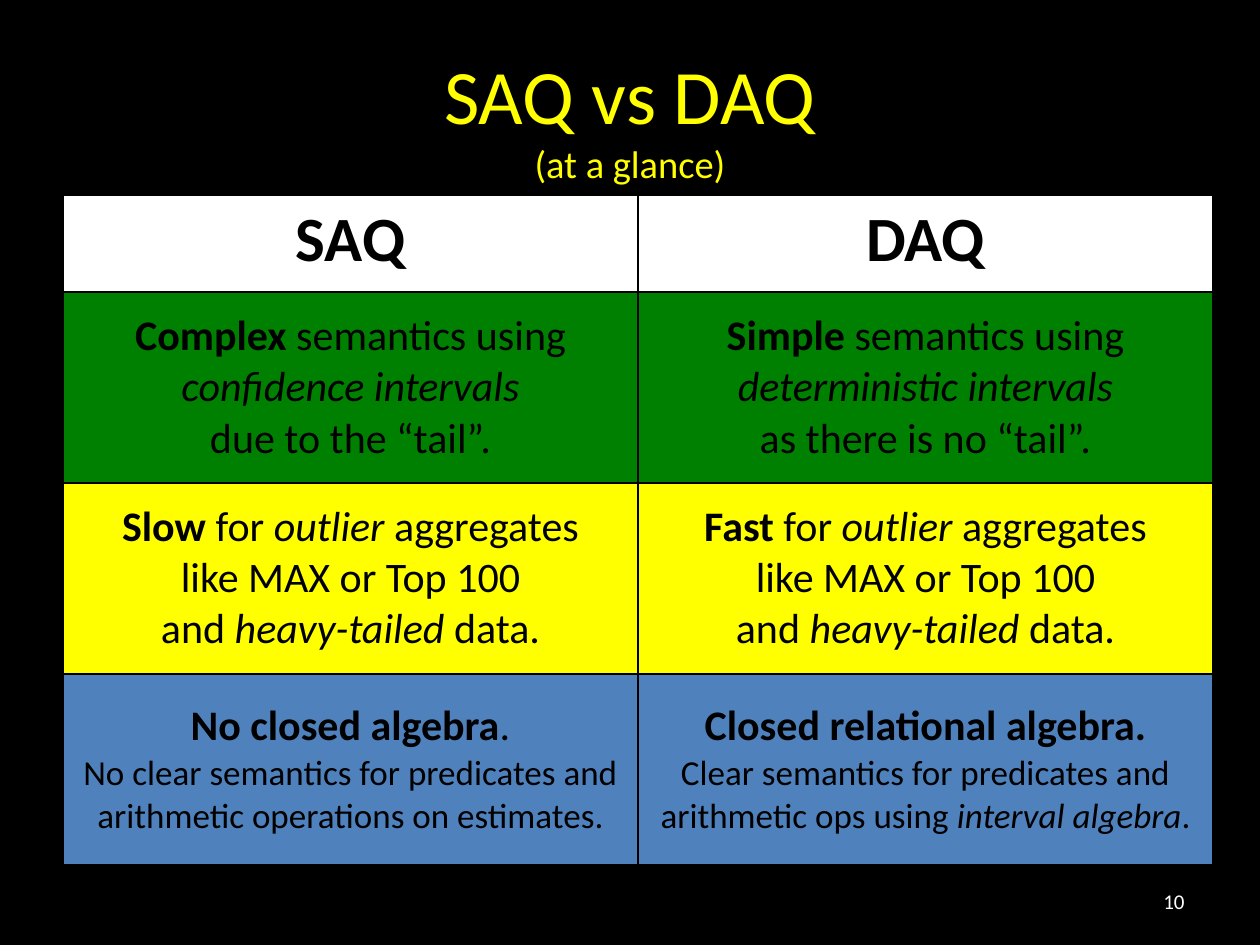
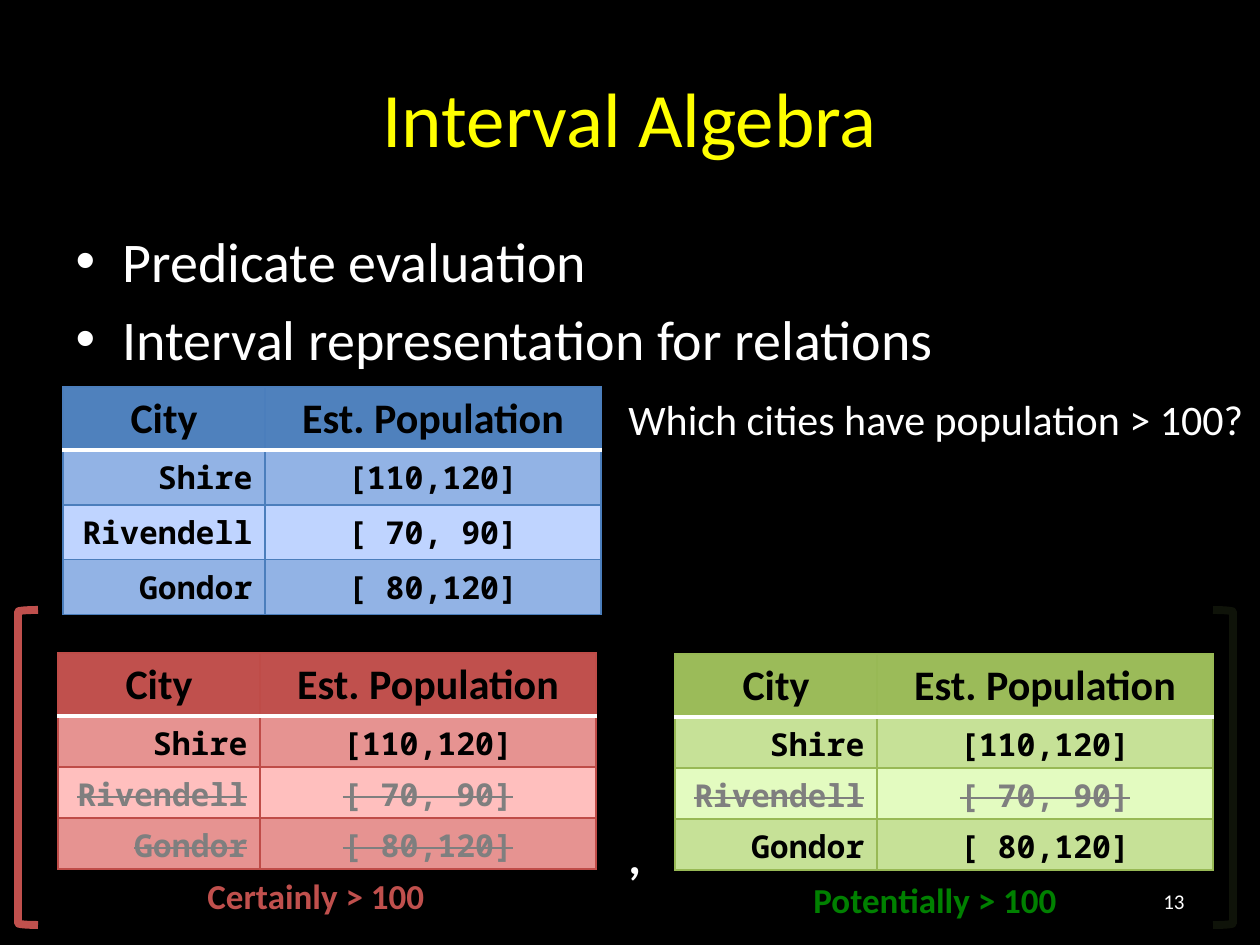
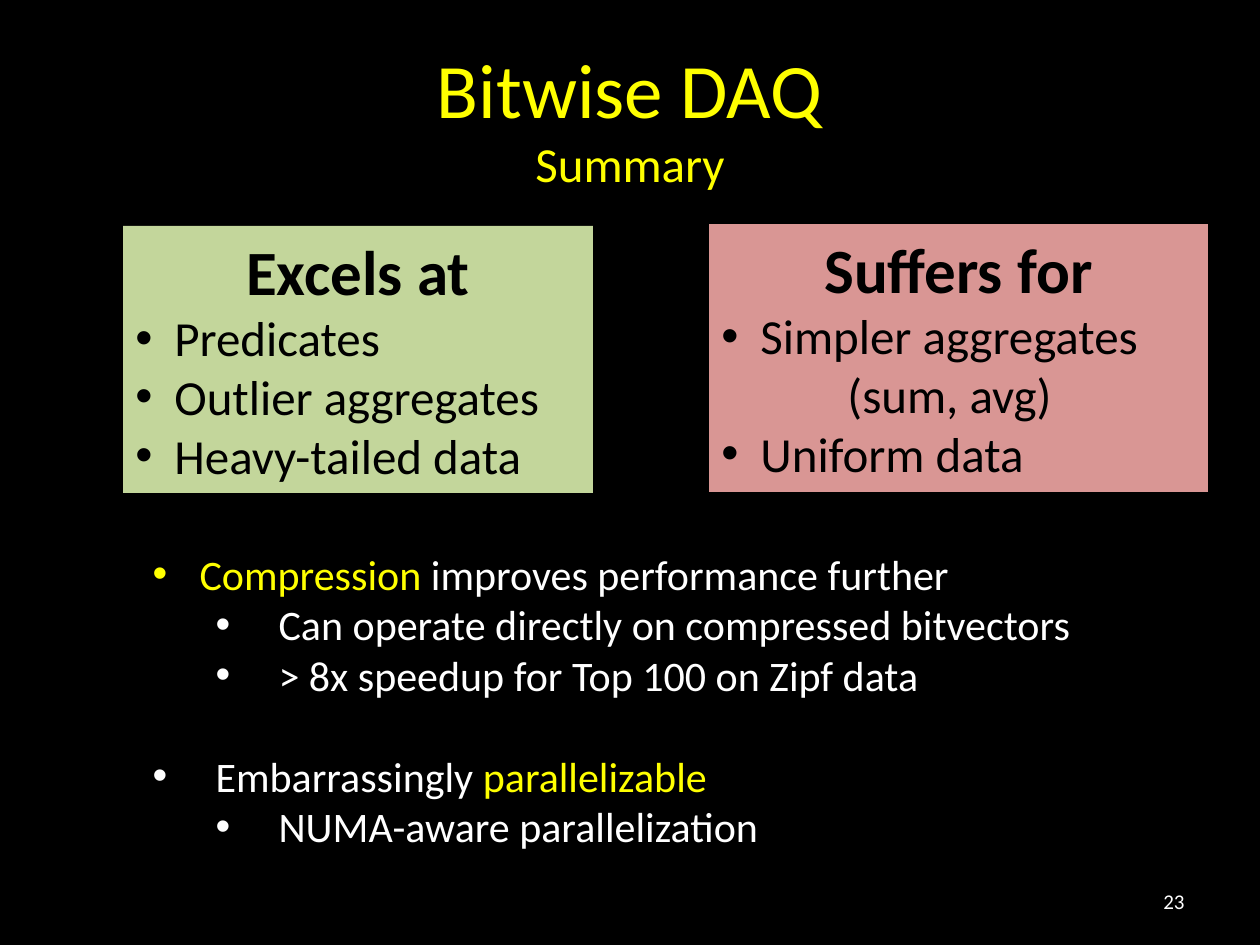
import dataclasses

import lxml.etree
import pptx
import pptx.dml.color
import pptx.enum.shapes
import pptx.enum.text
import pptx.oxml.ns
import pptx.util

PX = pptx.util.Inches(1) / 126
SHAPES = pptx.enum.shapes.MSO_SHAPE
ALIGN = {
    "l": pptx.enum.text.PP_ALIGN.LEFT,
    "c": pptx.enum.text.PP_ALIGN.CENTER,
    "r": pptx.enum.text.PP_ALIGN.RIGHT,
}
TOP = pptx.enum.text.MSO_ANCHOR.TOP
MIDDLE = pptx.enum.text.MSO_ANCHOR.MIDDLE

BLACK, WHITE, YELLOW, GREEN = "000000", "FFFFFF", "FFFF00", "008000"
BLUE, RED, LIME, GRAY = "4F81BD", "C0504D", "9BBB59", "7F7F7F"


def px(*lengths):
    return [round(length * PX) for length in lengths]


def rgb(value):
    return pptx.dml.color.RGBColor.from_string(value)


def child(parent, tag, **attributes):
    element = lxml.etree.SubElement(parent, pptx.oxml.ns.qn(tag))
    for key, value in attributes.items():
        element.set(key, str(value))
    return element


@dataclasses.dataclass
class Span:
    text: str
    style: str = ""
    color: str = ""


@dataclasses.dataclass
class Para:
    spans: list
    size: int
    color: str = BLACK
    align: str = "l"
    left: int = 0
    hang: int = 0
    before: float = 0
    level: int = 0
    font: str = "Calibri"


def plain(text, size, color=BLACK, align="l", style="", **layout):
    return Para([Span(text, style)], size, color, align, **layout)


class Slides:
    def __init__(self):
        self.deck = pptx.Presentation()
        self.deck.slide_width, self.deck.slide_height = px(1260, 945)
        fill = self.deck.slide_master.background.fill
        fill.solid()
        fill.fore_color.rgb = rgb(BLACK)
        self.page = None

    def start(self, layout, number, title, subtitle="", subtitle_size=22):
        self.page = self.deck.slides.add_slide(self.deck.slide_layouts[layout])
        holder = self.page.shapes.title
        holder.left, holder.top, holder.width, holder.height = px(63, 38, 1134, 158)
        frame = holder.text_frame
        frame.vertical_anchor = MIDDLE
        self.add_paras(frame, [plain(title, 44, YELLOW, "c")])
        if subtitle:
            para = frame.paragraphs[0]
            para.add_line_break()
            self.add_span(para, Span(subtitle), subtitle_size, YELLOW)
        self.text(903, 876, 294, 50, [plain(str(number), 12, WHITE, "r")], MIDDLE)

    def add_span(self, para, part, size, color, font="Calibri"):
        span = para.add_run()
        span.text = part.text
        span.font.name = font
        span.font.size = pptx.util.Pt(size)
        span.font.color.rgb = rgb(part.color or color)
        span.font.bold = "b" in part.style
        span.font.italic = "i" in part.style
        if "s" in part.style:
            span._r.get_or_add_rPr().set("strike", "sngStrike")

    def add_paras(self, frame, paras):
        frame.word_wrap = True
        frame.auto_size = pptx.enum.text.MSO_AUTO_SIZE.NONE
        for index, item in enumerate(paras):
            para = frame.add_paragraph() if index else frame.paragraphs[0]
            para.alignment = ALIGN[item.align]
            para.level = item.level
            para.space_before = pptx.util.Pt(item.before)
            self.indent(para, item)
            for part in item.spans:
                self.add_span(para, part, item.size, item.color, item.font)

    def indent(self, para, item):
        properties = para._p.get_or_add_pPr()
        left, hang = px(item.left, item.hang)
        properties.set("marL", str(left))
        properties.set("indent", str(-hang))
        if item.hang:
            child(properties, "a:buFont", typeface="Arial")
            child(properties, "a:buChar", char="•")
        else:
            child(properties, "a:buNone")

    def text(self, left, top, width, height, paras, anchor=TOP):
        box = self.page.shapes.add_textbox(*px(left, top, width, height))
        box.text_frame.vertical_anchor = anchor
        self.add_paras(box.text_frame, paras)

    def body(self, left, top, width, height, paras):
        holder = self.page.placeholders[1]
        holder.left, holder.top, holder.width, holder.height = px(left, top, width, height)
        self.add_paras(holder.text_frame, paras)

    def panel(self, left, top, width, height, fill, paras):
        box = self.page.shapes.add_shape(SHAPES.RECTANGLE, *px(left, top, width, height))
        box.shadow.inherit = False
        box.fill.solid()
        box.fill.fore_color.rgb = rgb(fill)
        box.line.fill.background()
        box.text_frame.vertical_anchor = TOP
        self.add_paras(box.text_frame, paras)

    def bracket(self, left, color, rotation=0, opacity=100):
        shape = self.page.shapes.add_shape(SHAPES.LEFT_BRACKET, *px(left, 610, 20, 315))
        shape.shadow.inherit = False
        shape.fill.background()
        shape.rotation = rotation
        shape.line.width = pptx.util.Pt(4.5)
        shape.line.color.rgb = rgb(color)
        if opacity < 100:
            tone = shape.line._ln.find(".//" + pptx.oxml.ns.qn("a:srgbClr"))
            child(tone, "a:alpha", val=opacity * 1000)

    def table(self, left, top, widths, heights):
        size = (len(heights), len(widths))
        area = px(left, top, sum(widths), sum(heights))
        table = self.page.shapes.add_table(*size, *area).table
        table.first_row = table.horz_banding = False
        for column, width in zip(table.columns, px(*widths)):
            column.width = width
        for row, height in zip(table.rows, px(*heights)):
            row.height = height
        return table

    def cell(self, cell, paras, fill, edges, anchor=TOP):
        cell.vertical_anchor = anchor
        cell.fill.solid()
        cell.fill.fore_color.rgb = rgb(fill)
        self.add_paras(cell.text_frame, paras)
        properties = cell._tc.get_or_add_tcPr()
        for index, side in enumerate("LRTB"):
            color, width = edges[side]
            line = child(properties, "a:ln" + side, w=pptx.util.Pt(width))
            child(child(line, "a:solidFill"), "a:srgbClr", val=color)
            properties.insert(index, line)


def centered(size, *parts):
    return Para([Span(*part) for part in parts], size, align="c")


def comparison_slide(slides):
    slides.start(5, 10, "SAQ vs DAQ", "(at a glance)")

    def semantics(kind, intervals, tail):
        return [
            centered(24, (kind, "b"), (" semantics using ",), (intervals, "i")),
            centered(24, (tail,)),
        ]

    def speed(kind):
        return [
            centered(24, (kind, "b"), (" for ",), ("outlier", "i"), (" aggregates",)),
            centered(24, ("like MAX or Top 100",)),
            centered(24, ("and ",), ("heavy-tailed ", "i"), ("data.",)),
        ]

    rows = [
        (WHITE, [[centered(36, (name, "b"))] for name in ("SAQ", "DAQ")]),
        (GREEN, [
            semantics("Complex", "confidence intervals", "due to the “tail”."),
            semantics("Simple", "deterministic intervals", "as there is no “tail”."),
        ]),
        (YELLOW, [speed("Slow"), speed("Fast")]),
        (BLUE, [
            [
                centered(24, ("No closed algebra", "b"), (".",)),
                centered(20, ("No clear semantics for predicates and "
                              "arithmetic operations on estimates.",)),
            ],
            [
                centered(24, ("Closed relational algebra.", "b")),
                centered(20, ("Clear semantics for predicates and arithmetic ops using ",),
                         ("interval algebra", "i"), (".",)),
            ],
        ]),
    ]
    table = slides.table(63, 195, [575, 575], [97, 191, 191, 191])
    edges = dict.fromkeys("LRTB", (BLACK, 1))
    for row, (fill, cells) in enumerate(rows):
        for column, paras in enumerate(cells):
            anchor = MIDDLE if row else TOP
            slides.cell(table.cell(row, column), paras, fill, edges, anchor)


CITIES = [("Shire", "[110,120]"), ("Rivendell", "[ 70, 90]"), ("Gondor", "[ 80,120]")]


def city_table(slides, left, top, row_height, header, border, bands, struck=()):
    table = slides.table(left, top, [202, 336], [63] + [row_height] * len(CITIES))
    for row, texts in enumerate([("City", "Est. Population")] + CITIES):
        edges = dict.fromkeys("LRTB", (border, 0.75))
        if row == 0:
            edges["B"] = (WHITE, 2)
        elif row == 1:
            edges["T"] = (WHITE, 2)
        for column, text in enumerate(texts):
            if row == 0:
                para = plain(text, 24, align="c", style="b")
                fill = header
            else:
                gone = texts[0] in struck
                para = plain(text, 18, GRAY if gone else BLACK, "rc"[column],
                             "bs" if gone else "b", font="Noto Sans Mono")
                fill = bands[(row - 1) % 2]
            cell = table.cell(row, column)
            cell.margin_bottom = 0
            slides.cell(cell, [para], fill, edges)


def algebra_slide(slides):
    slides.start(1, 13, "Interval Algebra")
    slides.body(63, 220, 1134, 228, [
        plain("Predicate evaluation", 32, WHITE, left=47, hang=47),
        plain("Interval representation for relations", 32, WHITE,
              left=47, hang=47, before=6.4),
    ])
    city_table(slides, 63, 387, 55, BLUE, "4B7EBC", ("92B3E5", "BFD4FF"))
    city_table(slides, 58, 653, 51, RED, "BF4C48", ("E69391", "FFBFBE"),
               ("Rivendell", "Gondor"))
    city_table(slides, 675, 654, 51, LIME, "98B955", ("C6E197", "E3FBC0"),
               ("Rivendell",))
    slides.text(616, 387, 644, 63,
                [plain("Which cities have population > 100?", 24, WHITE)])
    slides.text(195, 868, 251, 55, [plain("Certainly > 100", 20, RED, style="b")])
    slides.text(801, 872, 271, 55, [plain("Potentially > 100", 20, GREEN, style="b")])
    slides.text(616, 819, 59, 72, [plain(",", 28, WHITE, style="b")])
    slides.bracket(18, RED)
    slides.bracket(1213, LIME, rotation=180, opacity=10)


def summary_slide(slides):
    slides.start(1, 23, "Bitwise DAQ", "Summary", 28)

    def heading(text):
        return plain(text, 36, align="c", style="b")

    def point(text):
        return plain(text, 28, left=39, hang=39)

    def detail(text):
        return plain(text, 24, WHITE, left=126, hang=63, level=1)

    slides.panel(123, 226, 470, 267, "C3D69B", [
        heading("Excels at"),
        point("Predicates"),
        point("Outlier aggregates"),
        point("Heavy-tailed data"),
    ])
    slides.panel(709, 224, 499, 268, "D99694", [
        heading("Suffers for"),
        point("Simpler aggregates"),
        plain("(sum, avg)", 28, left=126),
        point("Uniform data"),
    ])
    slides.body(140, 542, 1003, 369, [
        Para([Span("Compression", color=YELLOW), Span(" improves performance further")],
             24, WHITE, left=47, hang=47),
        detail("Can operate directly on compressed bitvectors"),
        detail("> 8x speedup for Top 100 on Zipf data"),
        Para([Span("Embarrassingly "), Span("parallelizable", color=YELLOW)],
             24, WHITE, left=63, hang=63, before=29),
        detail("NUMA-aware parallelization"),
    ])


def main():
    slides = Slides()
    comparison_slide(slides)
    algebra_slide(slides)
    summary_slide(slides)
    slides.deck.save("out.pptx")


if __name__ == "__main__":
    main()
